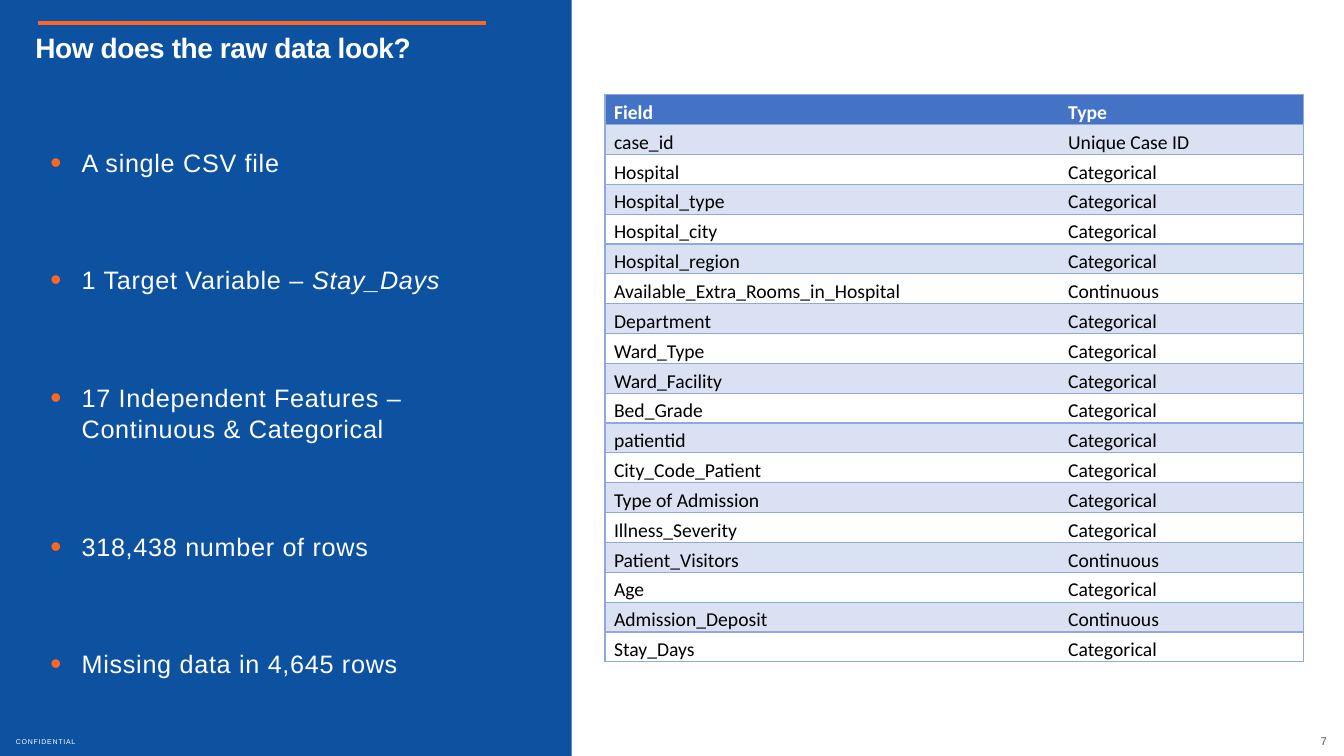
from lxml.etree import SubElement
from pptx import Presentation
from pptx.dml.color import RGBColor
from pptx.enum.shapes import MSO_CONNECTOR, MSO_SHAPE
from pptx.enum.text import MSO_ANCHOR, MSO_AUTO_SIZE, PP_ALIGN
from pptx.oxml.ns import qn
from pptx.util import Inches, Pt

WHITE = RGBColor(0xFF, 0xFF, 0xFF)
BLACK = RGBColor(0, 0, 0)
PANEL_BLUE = RGBColor(0x0D, 0x51, 0xA1)
ORANGE = RGBColor(0xFF, 0x67, 0x20)
SLATE = RGBColor(0x44, 0x54, 0x69)
HEADER_BLUE = RGBColor(0x44, 0x72, 0xC4)
BAND_BLUE = RGBColor(0xD9, 0xE1, 0xF2)
BORDER_BLUE = RGBColor(0x8E, 0xA9, 0xDB)

POINTS = [
    ("A single CSV file", ""),
    ("1 Target Variable – ", "Stay_Days"),
    ("17 Independent Features – Continuous & Categorical", ""),
    ("318,438 number of rows", ""),
    ("Missing data in 4,645 rows", ""),
]
FIELDS = [
    ("Field", "Type"),
    ("case_id", "Unique Case ID"),
    ("Hospital", "Categorical"),
    ("Hospital_type", "Categorical"),
    ("Hospital_city", "Categorical"),
    ("Hospital_region", "Categorical"),
    ("Available_Extra_Rooms_in_Hospital", "Continuous"),
    ("Department", "Categorical"),
    ("Ward_Type", "Categorical"),
    ("Ward_Facility", "Categorical"),
    ("Bed_Grade", "Categorical"),
    ("patientid", "Categorical"),
    ("City_Code_Patient", "Categorical"),
    ("Type of Admission", "Categorical"),
    ("Illness_Severity", "Categorical"),
    ("Patient_Visitors", "Continuous"),
    ("Age", "Categorical"),
    ("Admission_Deposit", "Continuous"),
    ("Stay_Days", "Categorical"),
]


def place(shape, box):
    shape.left, shape.top, shape.width, shape.height = map(Inches, box)


def style_run(run, size, color, name="Arial", bold=False, italic=False, tracking=0):
    """Format a run; tracking is the letter spacing in points."""
    font = run.font
    font.size, font.name, font.bold, font.italic = Pt(size), name, bold, italic
    font.color.rgb = color
    if tracking:
        run._r.get_or_add_rPr().set("spc", str(round(tracking * 100)))


def prepare_frame(frame):
    frame.word_wrap = True
    frame.auto_size = MSO_AUTO_SIZE.NONE
    frame.vertical_anchor = MSO_ANCHOR.TOP


def draw_panel(slide, box):
    left, top, width, _ = box
    panel = slide.shapes.add_shape(MSO_SHAPE.RECTANGLE, *map(Inches, box))
    panel.shadow.inherit = False
    panel.fill.solid()
    panel.fill.fore_color.rgb = PANEL_BLUE
    panel.line.fill.background()
    # Behind the placeholders
    panel._element.getparent().insert(2, panel._element)

    rule_y = Inches(top + 0.23)
    rule = slide.shapes.add_connector(
        MSO_CONNECTOR.STRAIGHT, Inches(left + 0.38), rule_y,
        Inches(left + width - 0.85), rule_y)
    rule.line.color.rgb = ORANGE
    rule.line.width = Pt(3)
    SubElement(rule._element.spPr, qn("a:effectLst"))


def fill_title(title, box):
    place(title, box)
    frame = title.text_frame
    prepare_frame(frame)
    frame.text = "How does the raw data look?"
    heading = frame.paragraphs[0]
    heading.alignment = PP_ALIGN.LEFT
    style_run(heading.runs[0], 20, WHITE, bold=True, tracking=-0.3)


def add_bullet(paragraph):
    properties = paragraph._p.get_or_add_pPr()
    indent = Inches(0.31)
    properties.set("marL", str(indent))
    properties.set("indent", str(-indent))
    color = SubElement(properties, qn("a:buClr"))
    SubElement(color, qn("a:srgbClr"), val=str(ORANGE))
    SubElement(properties, qn("a:buSzPct"), val="125000")
    SubElement(properties, qn("a:buFont"), typeface="Arial")
    SubElement(properties, qn("a:buChar"), char="•")


def fill_points(body, box):
    place(body, box)
    frame = body.text_frame
    prepare_frame(frame)
    frame.text = "\n".join(plain for plain, _ in POINTS)
    for paragraph, (_, emphasis) in zip(frame.paragraphs, POINTS):
        add_bullet(paragraph)
        paragraph.alignment = PP_ALIGN.LEFT
        paragraph.line_spacing = 1.04
        paragraph.space_before = Pt(0)
        paragraph.space_after = Pt(61.4)
        style_run(paragraph.runs[0], 18, WHITE, tracking=0.5)
        if emphasis:
            variable = paragraph.add_run()
            variable.text = emphasis
            style_run(variable, 18, WHITE, italic=True, tracking=0.5)


def set_borders(cell, open_side):
    """Outline a cell, leaving one side without a line."""
    properties = cell._tc.get_or_add_tcPr()
    for side in "LRTB":
        border = SubElement(properties, qn(f"a:ln{side}"), w=str(Pt(1)))
        if side == open_side:
            SubElement(border, qn("a:noFill"))
        else:
            fill = SubElement(border, qn("a:solidFill"))
            SubElement(fill, qn("a:srgbClr"), val=str(BORDER_BLUE))


def draw_field_table(slide, box):
    table = slide.shapes.add_table(len(FIELDS), 2, *map(Inches, box)).table
    width, height = box[2:]
    for column, share in zip(table.columns, (0.65, 0.35)):
        column.width = Inches(width * share)
    for row_index, texts in enumerate(FIELDS):
        table.rows[row_index].height = Inches(height / len(FIELDS))
        is_header = row_index == 0
        for column_index, text in enumerate(texts):
            cell = table.cell(row_index, column_index)
            set_borders(cell, "RL"[column_index])
            if is_header or row_index % 2:
                cell.fill.solid()
                cell.fill.fore_color.rgb = HEADER_BLUE if is_header else BAND_BLUE
            else:
                cell.fill.background()
            cell.margin_left = cell.margin_right = Inches(0.09)
            cell.margin_top = cell.margin_bottom = 0
            cell.vertical_anchor = MSO_ANCHOR.BOTTOM
            cell.text_frame.text = text
            paragraph = cell.text_frame.paragraphs[0]
            paragraph.line_spacing = 1.15
            style_run(paragraph.runs[0], 14, WHITE if is_header else BLACK,
                      "Calibri", bold=is_header)


def draw_footer_text(slide, box, text, size, color, alignment, tracking=0):
    frame = slide.shapes.add_textbox(*map(Inches, box)).text_frame
    prepare_frame(frame)
    frame.text = text
    frame.paragraphs[0].alignment = alignment
    style_run(frame.paragraphs[0].runs[0], size, color, tracking=tracking)


def build_raw_data_slide(presentation):
    slide = presentation.slides.add_slide(presentation.slide_layouts[1])
    draw_panel(slide, (0, 0, 5.67, 7.5))
    fill_title(slide.shapes.title, (0.25, 0.25, 12.64, 0.97))
    fill_points(slide.placeholders[1], (0.4, 1.4, 5.03, 5.63))
    draw_field_table(slide, (6, 0.94, 6.93, 5.63))
    draw_footer_text(slide, (0.06, 7.27, 6.29, 0.28), "CONFIDENTIAL", 5, WHITE,
                     PP_ALIGN.LEFT, tracking=0.5)
    draw_footer_text(slide, (12.62, 7.24, 0.64, 0.29), "7", 8, SLATE, PP_ALIGN.RIGHT)


def main():
    presentation = Presentation()
    presentation.slide_width, presentation.slide_height = Inches(13.33), Inches(7.5)
    build_raw_data_slide(presentation)
    presentation.save("out.pptx")


if __name__ == "__main__":
    main()
